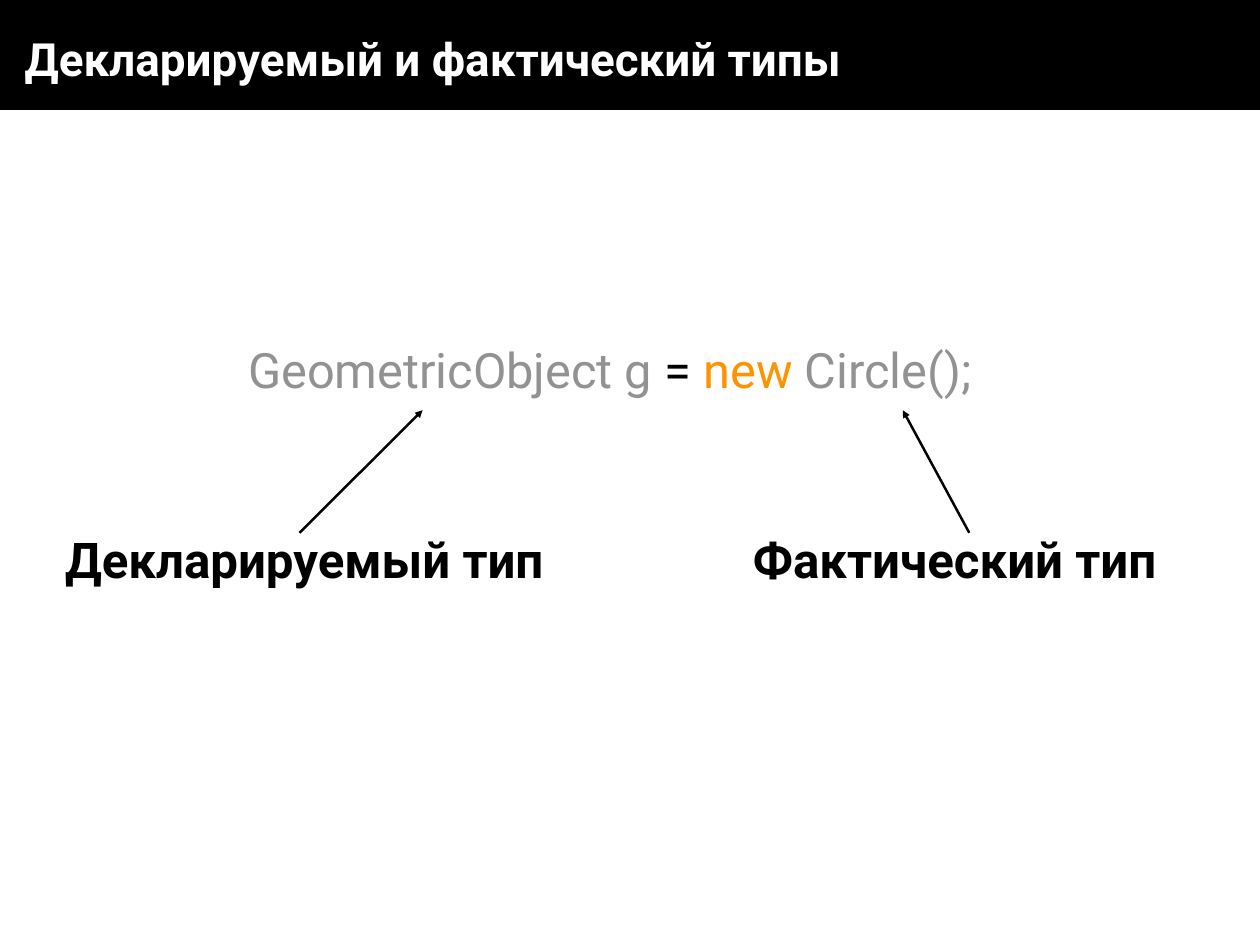
from lxml import etree
from pptx import Presentation
from pptx.dml.color import RGBColor
from pptx.enum import shapes, text
from pptx.oxml import ns
from pptx.util import Pt

BLACK, WHITE, GREY, ORANGE = "000000", "FFFFFF", "929292", "FE9301"
SLIDE_SIZE = (1024, 768)
HEADER_BAR = (0, -1.4, 1024.5, 90.7)
LABEL_TOP, LABEL_WIDTH, LABEL_HEIGHT = 425.5, 441.4, 75.6
LABEL_FORMAT = {"size": 40, "bold": True, "align": text.PP_ALIGN.CENTER}

TITLE = {
    "runs": [("Декларируемый и фактический типы", WHITE)],
    "box": (15.8, 15.1, 992.2, 59),
    "size": 37.2, "bold": True, "anchor": text.MSO_ANCHOR.BOTTOM,
}
CODE = {
    "runs": [("GeometricObject g", GREY), (" = ", BLACK),
             ("new ", ORANGE), ("Circle();", GREY)],
    "box": (197.3, 272, 633.6, 56),
    "size": 39.6,
}
# Label, left edge, arrow start, arrow end
TYPES = [
    ("Декларируемый тип", 26.6, (243.4, 433), (343.4, 333.4)),
    ("Фактический тип", 555.1, (787.7, 433), (733.7, 333.4)),
]


def color(hex_value):
    return RGBColor.from_string(hex_value)


def points(values):
    return [Pt(value) for value in values]


def add_text(slide, runs, box, size, bold=False,
             align=text.PP_ALIGN.LEFT, anchor=text.MSO_ANCHOR.TOP):
    frame = slide.shapes.add_textbox(*points(box)).text_frame
    inset = Pt(4.3)
    frame_format = {
        "word_wrap": True, "vertical_anchor": anchor,
        "margin_left": inset, "margin_right": inset,
        "margin_top": inset, "margin_bottom": inset,
    }
    for name, value in frame_format.items():
        setattr(frame, name, value)
    paragraph = frame.paragraphs[0]
    paragraph.alignment = align
    for words, run_color in runs:
        run = paragraph.add_run()
        run.text = words
        for name, value in {"name": "Roboto", "size": Pt(size), "bold": bold}.items():
            setattr(run.font, name, value)
        run.font.color.rgb = color(run_color)


def add_arrow(slide, start, end):
    arrow = slide.shapes.add_connector(
        shapes.MSO_CONNECTOR.STRAIGHT, *points(start + end))
    arrow.line.color.rgb = color(BLACK)
    arrow.line.width = Pt(2)
    etree.SubElement(arrow.line._get_or_add_ln(), ns.qn("a:tailEnd"), type="triangle")
    etree.SubElement(arrow._element.spPr, ns.qn("a:effectLst"))


def add_header_bar(slide):
    shape = slide.shapes.add_shape(shapes.MSO_SHAPE.RECTANGLE, *points(HEADER_BAR))
    shape.shadow.inherit = False
    shape.fill.solid()
    shape.fill.fore_color.rgb = color(BLACK)
    shape.line.fill.background()


def main():
    presentation = Presentation()
    presentation.slide_width, presentation.slide_height = points(SLIDE_SIZE)
    slide = presentation.slides.add_slide(presentation.slide_layouts[6])
    add_header_bar(slide)
    add_text(slide, **CODE)
    add_text(slide, **TITLE)
    for label, left, start, end in TYPES:
        box = (left, LABEL_TOP, LABEL_WIDTH, LABEL_HEIGHT)
        add_text(slide, [(label, BLACK)], box, **LABEL_FORMAT)
        add_arrow(slide, start, end)
    presentation.save("out.pptx")


if __name__ == "__main__":
    main()
